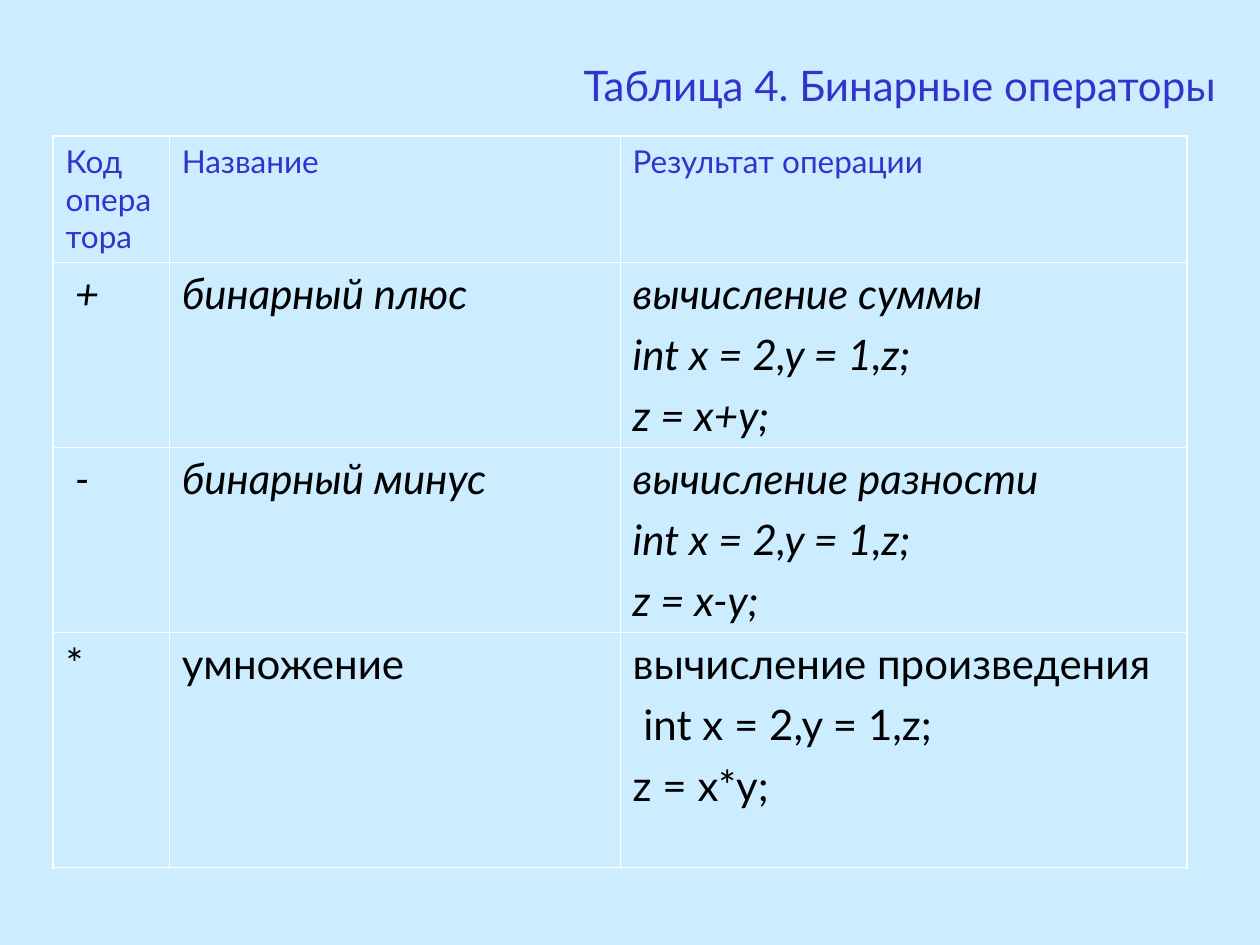
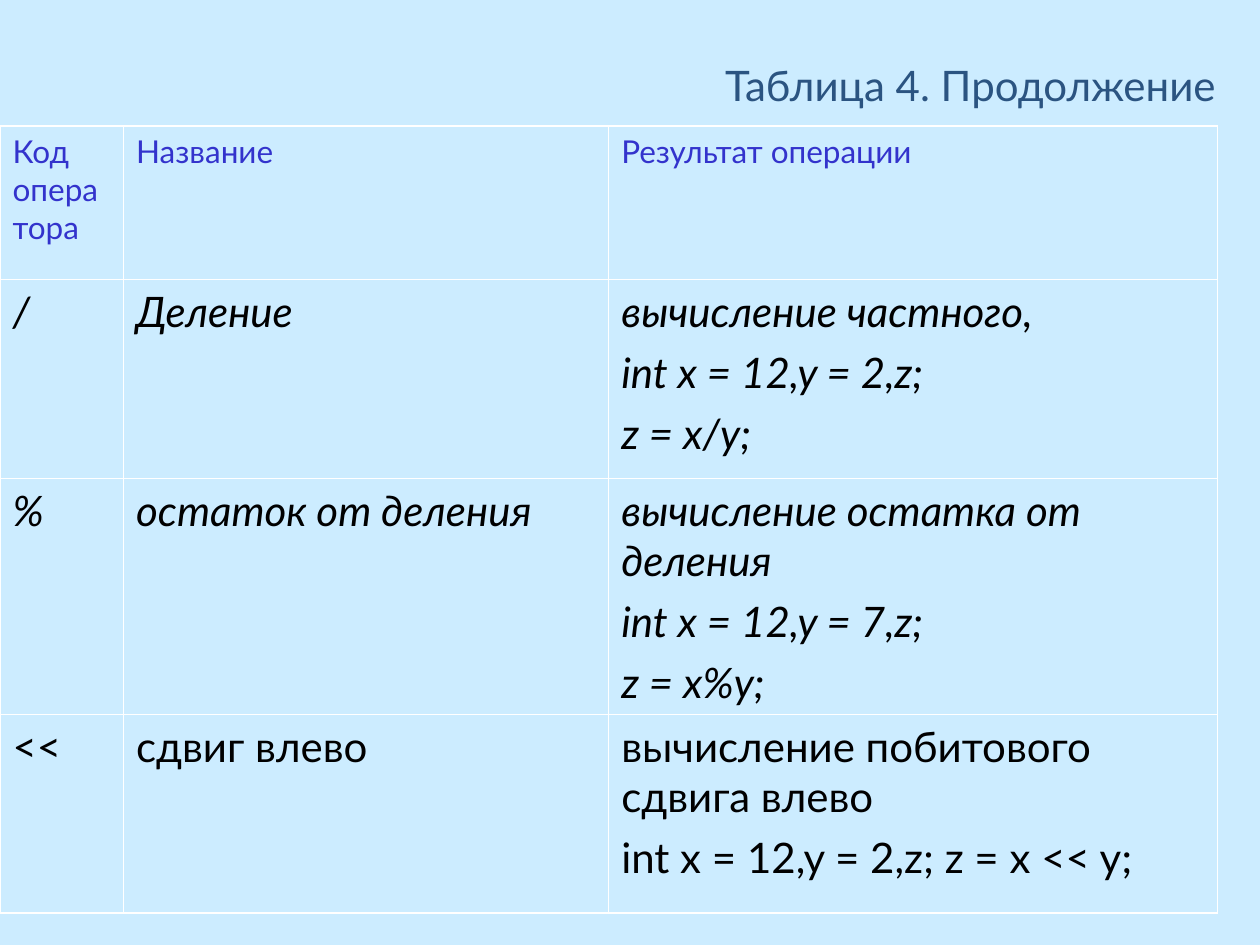
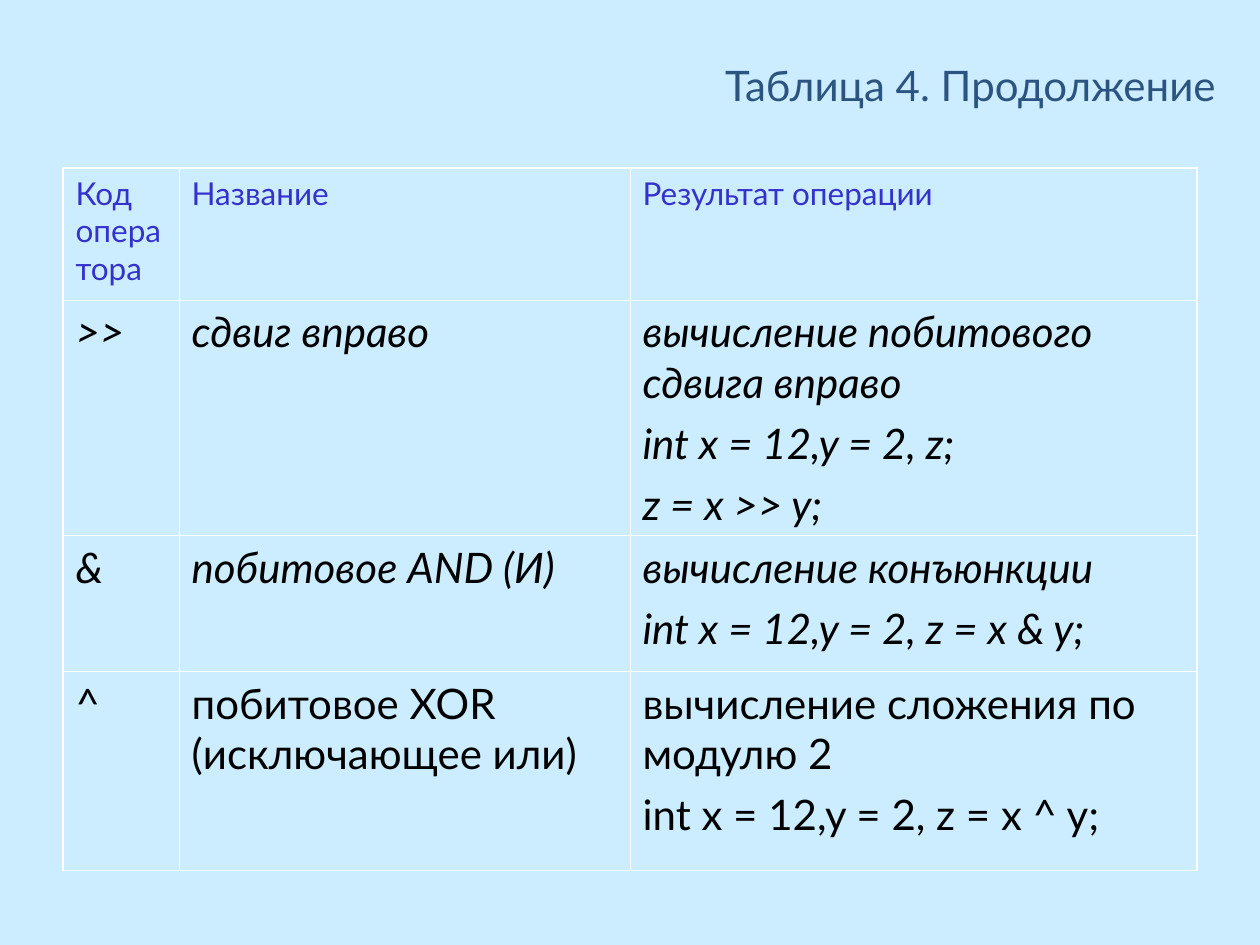
"""Build three slides that tabulate binary operators."""
from lxml import etree
from pptx import Presentation
from pptx import util as u
from pptx.dml import color
from pptx.enum import text
from pptx.oxml import ns

FONT = "Lato"
PAGE, BLUE, STEEL, BLACK, WHITE = "CCECFF", "3333CC", "2B5481", "000000", "FFFFFF"
THICK, THIN = 1.08, 0.45
HEADER = ("Код оператора", "Название", "Результат операции")
NARROW, WIDE = (2.34, 9.09, 11.43), (2.49, 9.78, 12.27)

SLIDES = [
    ("Таблица 4. Бинарные операторы", BLUE, (1.07, 2.74), NARROW, (2.54, 3.73, 3.73, 4.75), [
        ("+", "бинарный плюс", "вычисление суммы\nint x = 2,y = 1,z;\nz = x+y;"),
        ("-", "бинарный минус", "вычисление разности\nint x = 2,y = 1,z;\nz = x-y;"),
        ("*", "умножение", "вычисление произведения\n int x = 2,y = 1,z;\nz = x*y;"),
    ]),
    ("Таблица 4. Продолжение", STEEL, (0, 2.54), WIDE, (3.1, 4.01, 4.75, 4.01), [
        ("/", "Деление", "вычисление частного,\nint x = 12,y = 2,z;\nz = x/y;"),
        ("%", "остаток от деления",
         "вычисление остатка от деления\nint x = 12,y = 7,z;\nz = x%y;"),
        ("<<", "сдвиг влево",
         "вычисление побитового сдвига влево\nint x = 12,y = 2,z; z = x << y;"),
    ]),
    ("Таблица 4. Продолжение", STEEL, (1.27, 3.38), NARROW, (2.67, 4.75, 2.74, 4.01), [
        (">>", "сдвиг вправо",
         "вычисление побитового сдвига вправо\nint x = 12,y = 2, z;\nz = x >> y;"),
        ("&", "побитовое AND (И)", "вычисление конъюнкции\nint x = 12,y = 2, z = x & y;"),
        ("^", "побитовое XOR (исключающее или)",
         "вычисление сложения по модулю 2\nint x = 12,y = 2, z = x ^ y;"),
    ]),
]


def style(p, size, hex_color, italic=False):
    """Set the font of a paragraph."""
    p.font.name = FONT
    p.font.size = u.Pt(size)
    p.font.bold = False
    p.font.italic = italic
    p.font.color.rgb = color.RGBColor.from_string(hex_color)


def add_border(cell, side, width):
    """Draw one white edge of a cell."""
    ln = etree.SubElement(cell._tc.get_or_add_tcPr(), ns.qn(f"a:ln{side}"), w=str(u.Pt(width)))
    fill = etree.SubElement(ln, ns.qn("a:solidFill"))
    etree.SubElement(fill, ns.qn("a:srgbClr"), val=WHITE)


prs = Presentation()
prs.slide_width, prs.slide_height = u.Cm(25.4), u.Cm(19.05)
bg = prs.slide_master.background.fill
bg.solid()
bg.fore_color.rgb = color.RGBColor.from_string(PAGE)

for title, title_color, (left, top), widths, heights, operators in SLIDES:
    s = prs.slides.add_slide(prs.slide_layouts[5])
    sp = s.shapes.title
    sp.left, sp.top, sp.width, sp.height = u.Cm(0.43), u.Cm(1.07), u.Cm(24.33), u.Cm(1.27)
    tf = sp.text_frame
    tf.text = title
    tf.word_wrap = True
    tf.auto_size = text.MSO_AUTO_SIZE.SHAPE_TO_FIT_TEXT
    tf.vertical_anchor = text.MSO_ANCHOR.TOP
    p = tf.paragraphs[0]
    p.alignment = text.PP_ALIGN.RIGHT
    style(p, 24, title_color)

    rows = [HEADER] + operators
    last_row, last_col = len(rows) - 1, len(widths) - 1
    table = s.shapes.add_table(len(rows), len(widths), u.Cm(left), u.Cm(top),
                               u.Cm(sum(widths)), u.Cm(sum(heights))).table
    table.first_row = table.horz_banding = False
    for column, width in zip(table.columns, widths):
        column.width = u.Cm(width)
    for i, (row, height, values) in enumerate(zip(table.rows, heights, rows)):
        row.height = u.Cm(height)
        for j, (cell, value) in enumerate(zip(row.cells, values)):
            cell.text = value
            if value in ("+", "-"):
                cell.margin_left = u.Cm(0.44)
            for k, p in enumerate(cell.text_frame.paragraphs):
                if k:
                    p.space_before = u.Pt(6)
                if i:
                    style(p, 24, BLACK, italic=i < last_row)
                else:
                    style(p, 18, BLUE)
            edges = {"L": j == 0, "R": j == last_col, "T": i == 0, "B": i == last_row}
            for side, outer in edges.items():
                add_border(cell, side, THICK if outer else THIN)
            cell.fill.background()

prs.save("out.pptx")
